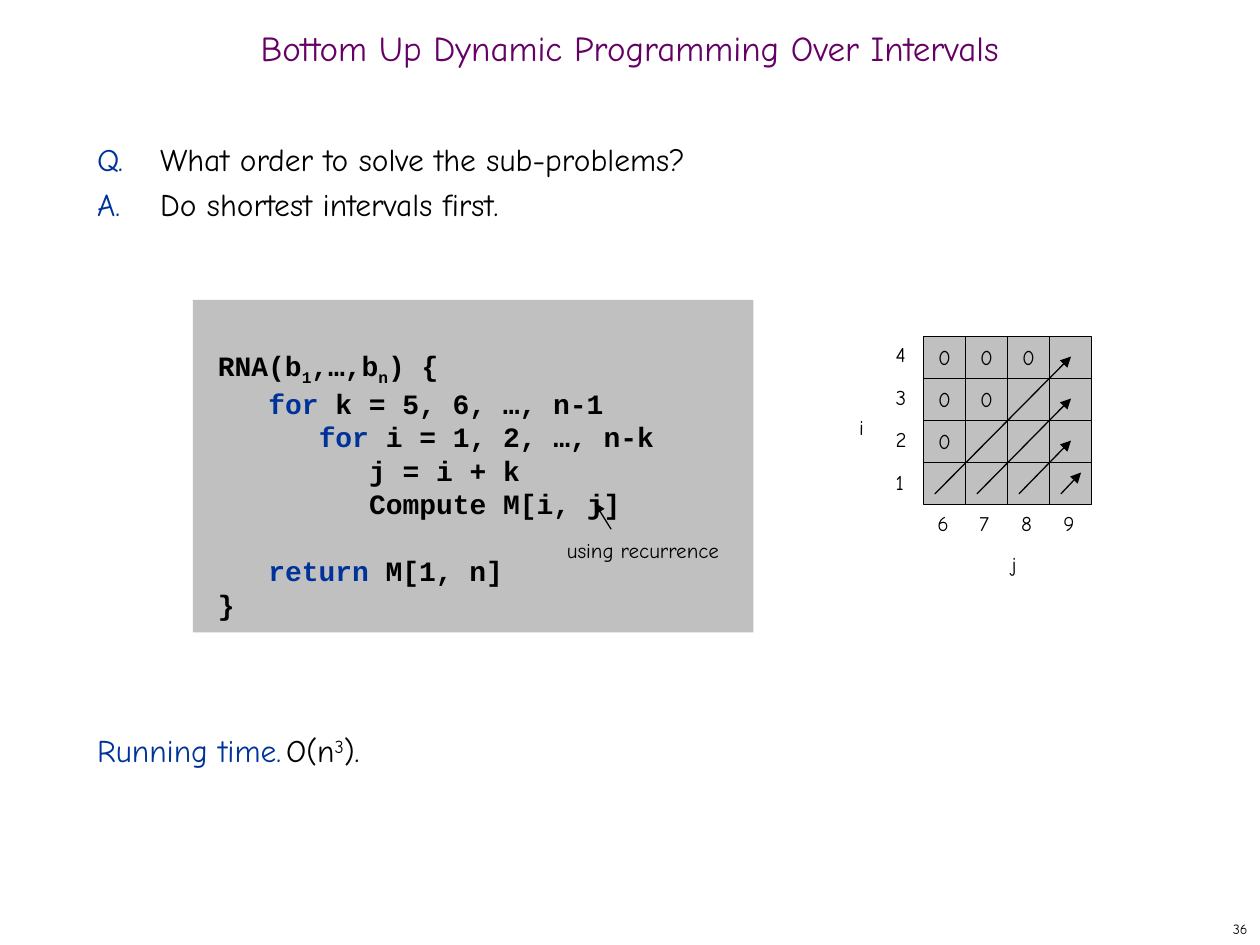
from dataclasses import dataclass
from typing import Any, NamedTuple

from lxml.etree import SubElement
from pptx import Presentation
from pptx.dml.color import RGBColor
from pptx.enum.shapes import MSO_CONNECTOR, MSO_SHAPE
from pptx.enum.text import MSO_ANCHOR, MSO_AUTO_SIZE, PP_ALIGN
from pptx.oxml.ns import qn
from pptx.util import Inches, Pt

HUES = {"title": "660066", "key": "003399", "ink": "000000", "grey": "C0C0C0"}
HAND, CODE = "Comic Neue", "Courier New"
LEFT, TOP, SIDE, COUNT = 7.33, 2.67, 1 / 3, 4

PLAIN = {"space_before": Pt(0), "space_after": Pt(0)}
MID = {**PLAIN, "alignment": PP_ALIGN.CENTER}
LIST = {**PLAIN, "line_spacing": Pt(26)}
LINE = {**PLAIN, "line_spacing": Pt(19.15)}
SMALL = {"name": HAND, "size": Pt(12)}
BODY = {"name": HAND, "size": Pt(18)}
MONO = {"name": CODE, "size": Pt(16), "bold": True}


class Run(NamedTuple):
    text: str
    hue: str = "ink"
    base: int = 0


class Point(NamedTuple):
    x: float
    y: float


@dataclass
class Box:
    left: float
    top: float
    width: float
    height: float

    def place(self) -> list[int]:
        return [Inches(n) for n in (self.left, self.top, self.width, self.height)]


@dataclass
class Label:
    text: str
    box: Box


@dataclass
class Row:
    runs: list[Run]
    level: int = 0
    gap: float = 0
    tab: float = 0


def put(item: Any, values: dict) -> None:
    for name, value in values.items():
        setattr(item, name, value)


def tint(hue: str) -> RGBColor:
    return RGBColor.from_string(HUES[hue])


def write(para: Any, row: Row, font: dict, form: dict) -> None:
    put(para, form)
    if row.gap:
        para.space_before = Pt(row.gap)
    props = para._p.get_or_add_pPr()
    props.set("marL", str(Inches(0.4 * row.level)))
    props.set("indent", "0")
    SubElement(props, qn("a:buNone"))
    if row.tab:
        tabs = SubElement(props, qn("a:tabLst"))
        SubElement(tabs, qn("a:tab"), pos=str(Inches(row.tab)), algn="l")
    for part in row.runs:
        run = para.add_run()
        run.text = part.text
        put(run.font, font)
        run.font.color.rgb = tint(part.hue)
        if part.base:
            run._r.get_or_add_rPr().set("baseline", str(part.base * 1000))


def fill(shape: Any, rows: list[Row], font: dict, form: dict, frame: dict) -> None:
    text = shape.text_frame
    put(text, {"auto_size": MSO_AUTO_SIZE.NONE, **frame})
    for spot, row in enumerate(rows):
        para = text.add_paragraph() if spot else text.paragraphs[0]
        write(para, row, font, form)


def move(shape: Any, box: Box) -> None:
    put(shape, dict(zip(("left", "top", "width", "height"), box.place())))


def block(slide: Any, box: Box, edge: bool) -> Any:
    shape = slide.shapes.add_shape(MSO_SHAPE.RECTANGLE, *box.place())
    shape.shadow.inherit = False
    shape.fill.solid()
    shape.fill.fore_color.rgb = tint("grey")
    if edge:
        shape.line.color.rgb = tint("ink")
        shape.line.width = Pt(0.75)
    else:
        shape.line.fill.background()
    return shape


def arrow(slide: Any, start: Point, end: Point) -> None:
    ends = [Inches(n) for n in (*start, *end)]
    link = slide.shapes.add_connector(MSO_CONNECTOR.STRAIGHT, *ends)
    link.line.color.rgb = tint("ink")
    link.line.width = Pt(0.75)
    props = link.element.spPr
    SubElement(props.find(qn("a:ln")), qn("a:tailEnd"), type="triangle")
    SubElement(props, qn("a:effectLst"))


def label(slide: Any, item: Label) -> None:
    shape = slide.shapes.add_textbox(*item.box.place())
    fill(shape, [Row([Run(item.text)])], SMALL, PLAIN, {"word_wrap": False})


def grid(slide: Any) -> None:
    frame = {"word_wrap": False, "vertical_anchor": MSO_ANCHOR.MIDDLE}
    for row in range(COUNT):
        for col in range(COUNT):
            box = Box(LEFT + col * SIDE, TOP + row * SIDE, SIDE, SIDE)
            cell = block(slide, box, True)
            if row + col < COUNT - 1:
                fill(cell, [Row([Run("0")])], SMALL, MID, frame)
    ends = [Point(8.5, 2.83 + n * SIDE) for n in range(3)] + [Point(8.58, 3.75)]
    for col, end in enumerate(ends):
        arrow(slide, Point(7.42 + col * SIDE, 3.92), end)
    for step in range(COUNT):
        label(slide, Label(str(4 - step), Box(7.01, 2.66 + step * 0.34, 0.29, 0.3)))
        label(slide, Label(str(6 + step), Box(7.34 + step * SIDE, 4, 0.29, 0.3)))
    for item in (Label("i", Box(6.72, 3.24, 0.24, 0.3)),
                 Label("j", Box(7.93, 4.33, 0.24, 0.3))):
        label(slide, item)


def main() -> None:
    deck = Presentation()
    put(deck, {"slide_width": Inches(10), "slide_height": Inches(7.5)})
    slide = deck.slides.add_slide(deck.slide_layouts[1])
    title, body = slide.shapes.title, slide.placeholders[1]

    move(title, Box(0, 0.17, 10, 0.5))
    head = Run("Bottom Up Dynamic Programming Over Intervals", "title")
    fill(title, [Row([head])], {"name": HAND, "size": Pt(20)},
         {**MID, "line_spacing": 0.7}, {"vertical_anchor": MSO_ANCHOR.MIDDLE})

    move(body, Box(0.67, 1, 8.58, 5.92))
    points = [
        Row([Run("Q.\t", "key"), Run("What order to solve the sub-problems?")], tab=0.37),
        Row([Run("A.\t", "key"), Run("Do shortest intervals first.")], tab=0.35),
        Row([Run("Running time.\t", "key"), Run("O(n"), Run("3", base=30), Run(").")],
            gap=286, tab=1.63),
    ]
    fill(body, points, BODY, LIST, {"vertical_anchor": MSO_ANCHOR.TOP})

    code = [
        Row([Run("RNA(b"), Run("1", base=-25), Run(",…,b"), Run("n", base=-25), Run(") {")]),
        Row([Run("for", "key"), Run(" k = 5, 6, …, n-1")], 1),
        Row([Run("for", "key"), Run(" i = 1, 2, …, n-k")], 2),
        Row([Run("j = i + k")], 3),
        Row([Run("Compute M[i, j]")], 3),
        Row([Run("return", "key"), Run(" M[1, n]")], 1, gap=19.15),
        Row([Run("}")]),
    ]
    panel = block(slide, Box(1.53, 2.38, 4.45, 2.64), False)
    fill(panel, code, MONO, {**LINE, "alignment": PP_ALIGN.LEFT},
         {"word_wrap": True, "vertical_anchor": MSO_ANCHOR.TOP,
          "margin_left": Inches(0.2), "margin_right": Inches(0.15),
          "margin_top": Inches(0.42), "margin_bottom": Inches(0.1)})
    arrow(slide, Point(4.85, 4.2), Point(4.72, 3.99))
    label(slide, Label("using recurrence", Box(4.4, 4.22, 1.42, 0.3)))

    grid(slide)

    page = slide.shapes.add_textbox(*Box(7.92, 7.25, 2.08, 0.25).place())
    fill(page, [Row([Run("36")])], {"name": HAND, "size": Pt(8)},
         {**PLAIN, "alignment": PP_ALIGN.RIGHT},
         {"word_wrap": True, "vertical_anchor": MSO_ANCHOR.MIDDLE})
    deck.save("out.pptx")


if __name__ == "__main__":
    main()
